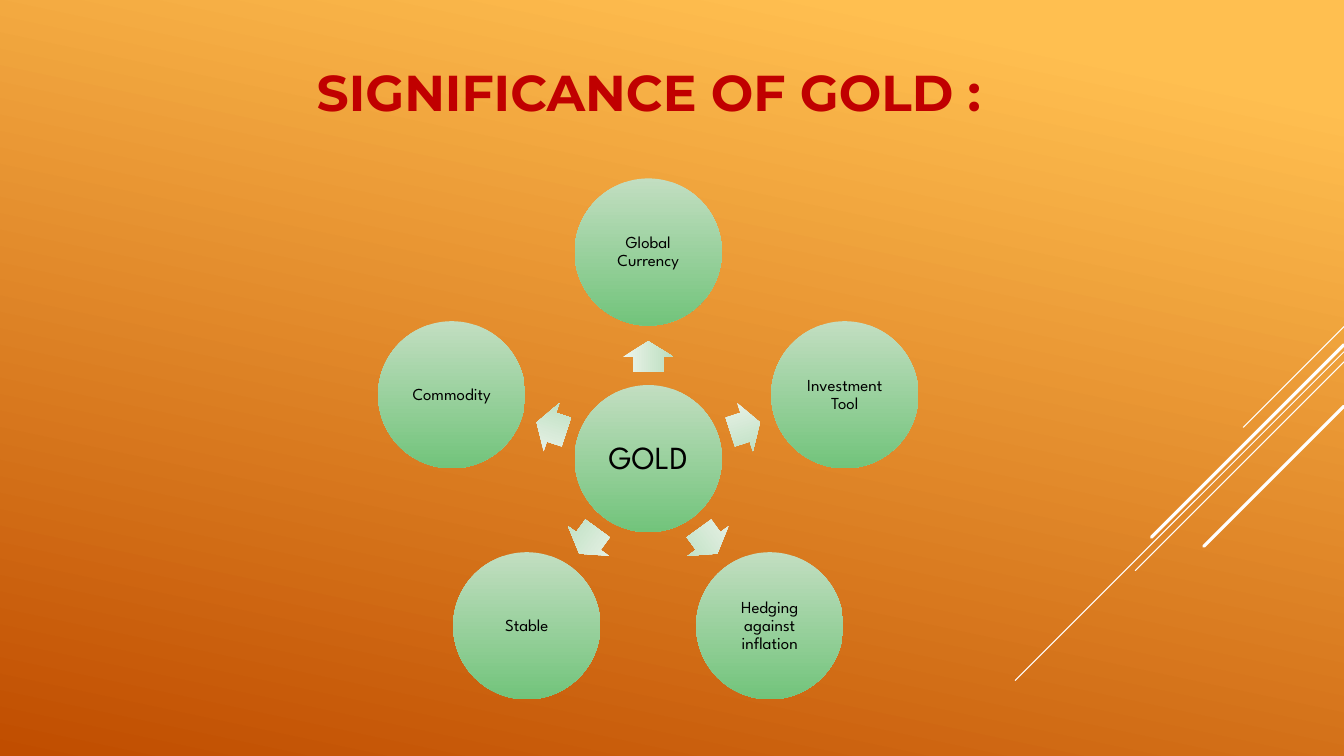
import math

from lxml import etree
from pptx import Presentation
from pptx import util as u
from pptx.dml.color import RGBColor
from pptx.enum import shapes, text
from pptx.oxml import ns

AMBER = RGBColor(0xFF, 0xBF, 0x50)
RUST = RGBColor(0xC0, 0x4D, 0x00)
CRIMSON = RGBColor(0xC0, 0x00, 0x00)
WHITE = RGBColor(0xFF, 0xFF, 0xFF)
BLACK = RGBColor(0x00, 0x00, 0x00)
PALE_GREEN = RGBColor(0xC2, 0xDE, 0xC1)
GREEN = RGBColor(0x72, 0xC4, 0x7B)
MIST = RGBColor(0xED, 0xF5, 0xEC)
SOFT_GREEN = RGBColor(0xBA, 0xDD, 0xBE)

SLIDE_W, SLIDE_H = 13.33, 7.5
BENEFITS = ["Global Currency", "Investment Tool", "Hedging against inflation",
            "Stable", "Commodity"]
STREAKS = [(3.24, 1.0, 0.75), (3.49, 3.26, 0.75), (3.59, 2.07, 0.75),
           (3.42, 1.91, 2.25), (4.03, 1.39, 2.25)]


def apply(target, values):
    for name, value in values.items():
        setattr(target, name, value)


def shade(fill, first, last, clockwise, start=0):
    fill.gradient()
    fill.gradient_angle = (360 - clockwise) % 360
    for stop, color, position in zip(fill.gradient_stops, (first, last), (start, 1)):
        stop.color.rgb = color
        stop.position = position


def write(frame, wording, font, color, spacing, inset_x, inset_y):
    frame.text = wording
    apply(frame, {
        "word_wrap": True,
        "auto_size": text.MSO_AUTO_SIZE.NONE,
        "vertical_anchor": text.MSO_ANCHOR.MIDDLE,
        "margin_left": u.Inches(inset_x), "margin_right": u.Inches(inset_x),
        "margin_top": u.Inches(inset_y), "margin_bottom": u.Inches(inset_y),
    })
    paragraph = frame.paragraphs[0]
    apply(paragraph, {"alignment": text.PP_ALIGN.CENTER, "line_spacing": spacing})
    run = paragraph.runs[0]
    apply(run.font, font)
    run.font.color.rgb = color


def add_streaks(slide, right):
    for top, reach, weight in STREAKS:
        streak = slide.shapes.add_connector(
            shapes.MSO_CONNECTOR.STRAIGHT, u.Inches(right), u.Inches(top),
            u.Inches(right - reach), u.Inches(top + reach))
        streak.line.color.rgb = WHITE
        streak.line.width = u.Pt(weight)
        properties = streak._element.spPr
        properties.find(ns.qn("a:ln")).set("cap", "rnd")
        etree.SubElement(properties, ns.qn("a:effectLst"))


def add_heading(slide, left, top, width, height):
    heading = slide.shapes.title
    apply(heading, {"left": u.Inches(left), "top": u.Inches(top),
                    "width": u.Inches(width), "height": u.Inches(height)})
    font = {"name": "Montserrat", "size": u.Pt(36), "bold": True}
    write(heading.text_frame, "SIGNIFICANCE OF GOLD :", font, CRIMSON, 0.9, 0.1, 0.05)


def add_centered(slide, kind, x, y, width, height, colors):
    shape = slide.shapes.add_shape(
        kind, u.Inches(x - width / 2), u.Inches(y - height / 2),
        u.Inches(width), u.Inches(height))
    shape.shadow.inherit = False
    shape.line.fill.background()
    shade(shape.fill, *colors, 90)
    return shape


def add_circle(slide, x, y, diameter, wording, size, inset):
    circle = add_centered(slide, shapes.MSO_SHAPE.OVAL, x, y, diameter, diameter,
                          (PALE_GREEN, GREEN))
    font = {"name": "League Spartan", "size": u.Pt(size)}
    write(circle.text_frame, wording, font, BLACK, 0.9, inset, inset)


def add_radial(slide, left, top, width, diameter):
    orbit = 2.05
    arrow_orbit = 1.01
    hub_x = left + width / 2
    hub_y = top + diameter / 2 + orbit
    add_circle(slide, hub_x, hub_y, diameter, "GOLD", 23, 0.03)
    for index, benefit in enumerate(BENEFITS):
        degrees = (270 + index * 360 / len(BENEFITS)) % 360
        across = math.cos(math.radians(degrees))
        down = math.sin(math.radians(degrees))
        arrow = add_centered(
            slide, shapes.MSO_SHAPE.RIGHT_ARROW, hub_x + arrow_orbit * across,
            hub_y + arrow_orbit * down, 0.31, 0.5, (MIST, SOFT_GREEN))
        arrow.rotation = degrees
        arrow.adjustments[0] = 0.6
        arrow.adjustments[1] = 0.5
        add_circle(slide, hub_x + orbit * across, hub_y + orbit * down,
                   diameter, benefit, 12, 0.02)


def main():
    deck = Presentation()
    deck.slide_width = u.Inches(SLIDE_W)
    deck.slide_height = u.Inches(SLIDE_H)
    slide = deck.slides.add_slide(deck.slide_layouts.get_by_name("Title Only"))
    shade(slide.background.fill, AMBER, RUST, 102, 0.1)
    add_streaks(slide, SLIDE_W)
    add_heading(slide, 1.77, 0.12, 9.33, 1.65)
    add_radial(slide, 3.75, 1.77, 5.36, 1.46)
    deck.save("out.pptx")


if __name__ == "__main__":
    main()
